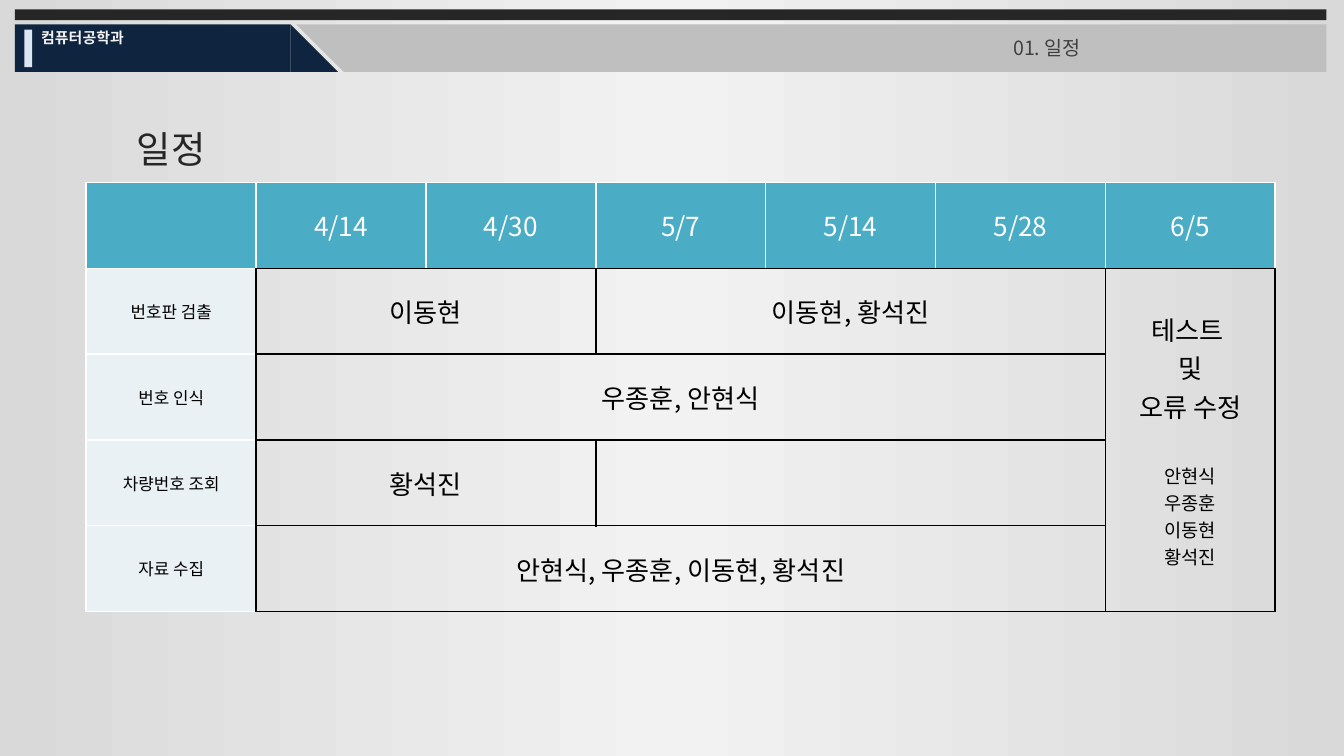
from copy import deepcopy

from lxml.etree import SubElement
from pptx import Presentation
from pptx.dml.color import RGBColor
from pptx.enum.shapes import MSO_SHAPE
from pptx.enum.text import MSO_ANCHOR, MSO_AUTO_SIZE, PP_ALIGN
from pptx.oxml import parse_xml
from pptx.oxml.ns import nsdecls, qn
from pptx.util import Cm, Pt

BLACK = RGBColor(0x00, 0x00, 0x00)
WHITE = RGBColor(0xFF, 0xFF, 0xFF)
CHARCOAL = RGBColor(0x26, 0x26, 0x26)
DARK_GRAY = RGBColor(0x40, 0x40, 0x40)
BAND_GRAY = RGBColor(0xBF, 0xBF, 0xBF)
EDGE_GRAY = RGBColor(0xD9, 0xD9, 0xD9)
PALE_GRAY = RGBColor(0xF2, 0xF2, 0xF2)
NAVY = RGBColor(0x0F, 0x24, 0x3E)
ICE = RGBColor(0xDC, 0xE6, 0xF2)
TEAL = RGBColor(0x4B, 0xAC, 0xC6)
LABEL_BLUE = RGBColor(0xE9, 0xF1, 0xF5)

KOREAN_FONT = "Noto Sans CJK KR"
DATES = ["4/14", "4/30", "5/7", "5/14", "5/28", "6/5"]
TASKS = ["번호판 검출", "번호 인식", "차량번호 조회", "자료 수집"]
# first row, first column, last row, last column, text
ASSIGNMENTS = [
    (1, 1, 1, 2, "이동현"),
    (1, 3, 1, 5, "이동현, 황석진"),
    (2, 1, 2, 5, "우종훈, 안현식"),
    (3, 1, 3, 2, "황석진"),
    (3, 3, 3, 5, ""),
    (4, 1, 4, 5, "안현식, 우종훈, 이동현, 황석진"),
    (1, 6, 4, 6, "테스트 \n및\n오류 수정"),
]
TESTERS = "안현식\n우종훈\n이동현\n황석진"


def write(frame, text, size=14, color=BLACK, font=KOREAN_FONT, bold=False,
          align=PP_ALIGN.CENTER, line_spacing=None, gap=None,
          outline_alpha=None, append=False):
    """Write one paragraph per line of text; gap goes before the first one."""
    for index, line in enumerate(text.split("\n")):
        para = frame.add_paragraph() if append or index else frame.paragraphs[0]
        para.alignment = align
        if line_spacing:
            para.line_spacing = line_spacing
        if gap and index == 0:
            para.space_before = Pt(gap)
        span = para.add_run()
        span.text = line
        span.font.size = Pt(size)
        span.font.bold = bold
        span.font.color.rgb = color
        span.font.name = font
        properties = span._r.get_or_add_rPr()
        SubElement(properties, qn("a:ea")).set("typeface", KOREAN_FONT)
        if outline_alpha:
            properties.insert(0, parse_xml(
                f'<a:ln {nsdecls("a")} w="9525"><a:solidFill>'
                f'<a:srgbClr val="{color}"><a:alpha val="{outline_alpha * 1000}"/>'
                '</a:srgbClr></a:solidFill></a:ln>'))


def set_borders(cell, left=BLACK, right=BLACK, top=BLACK, bottom=BLACK):
    properties = cell._tc.get_or_add_tcPr()
    sides = zip("LRTB", (left, right, top, bottom))
    for index, (side, color) in enumerate(sides):
        properties.insert(index, parse_xml(
            f'<a:ln{side} {nsdecls("a")} w="12700"><a:solidFill>'
            f'<a:srgbClr val="{color}"/></a:solidFill></a:ln{side}>'))


class SlideBuilder:
    def __init__(self, page):
        self.page = page

    def background(self, *colors):
        """Fill the page with an evenly spaced left-to-right gradient."""
        fill = self.page.background.fill
        fill.gradient()
        fill.gradient_angle = 0
        stop_list = self.page.element.xpath(".//a:gsLst")[0]
        stop_list.insert(1, deepcopy(stop_list[0]))
        for index, (stop, color) in enumerate(zip(fill.gradient_stops, colors)):
            stop.position = index / (len(colors) - 1)
            stop.color.rgb = color

    def shape(self, kind, left, top, width, height, color, rotation=0, group=None):
        shapes = (group or self.page).shapes
        box = shapes.add_shape(kind, Cm(left), Cm(top), Cm(width), Cm(height))
        box.shadow.inherit = False
        box.fill.solid()
        box.fill.fore_color.rgb = color
        box.line.fill.background()
        box.rotation = rotation

    def label(self, left, top, width, height, text, **style):
        box = self.page.shapes.add_textbox(Cm(left), Cm(top), Cm(width), Cm(height))
        box.text_frame.word_wrap = True
        box.text_frame.auto_size = MSO_AUTO_SIZE.SHAPE_TO_FIT_TEXT
        write(box.text_frame, text, align=PP_ALIGN.LEFT, **style)

    def title(self, left, top, width, height, text, **style):
        box = self.page.shapes.title
        box.left, box.top = Cm(left), Cm(top)
        box.width, box.height = Cm(width), Cm(height)
        box.text_frame.auto_size = MSO_AUTO_SIZE.NONE
        box.text_frame.vertical_anchor = MSO_ANCHOR.MIDDLE
        write(box.text_frame, text, **style)

    def table(self, left, top, column_width, row_height, columns, rows):
        """Add a plain table with black borders and no fill."""
        table = self.page.shapes.add_table(
            rows, columns, Cm(left), Cm(top),
            Cm(column_width * columns), Cm(row_height * rows)).table
        table.first_row = table.horz_banding = False
        for column in table.columns:
            column.width = Cm(column_width)
        for row in table.rows:
            row.height = Cm(row_height)
        for cell in table.iter_cells():
            cell.vertical_anchor = MSO_ANCHOR.MIDDLE
            cell.margin_left = cell.margin_right = Cm(0.18)
            cell.margin_top = cell.margin_bottom = Cm(0.1)
            cell.fill.background()
        return table

    def schedule(self, left, top, column_width, row_height):
        table = self.table(left, top, column_width, row_height,
                           len(DATES) + 1, len(TASKS) + 1)
        for column, date in enumerate(["", *DATES]):
            cell = table.cell(0, column)
            cell.fill.solid()
            cell.fill.fore_color.rgb = TEAL
            set_borders(cell, WHITE, WHITE, WHITE, BLACK if date else WHITE)
            if date:
                write(cell.text_frame, date, color=WHITE)
        for row, task in enumerate(TASKS, 1):
            cell = table.cell(row, 0)
            cell.fill.solid()
            cell.fill.fore_color.rgb = LABEL_BLUE
            set_borders(cell, WHITE, BLACK, WHITE, WHITE)
            write(cell.text_frame, task, size=9, font="Arial")
            for column in range(1, len(DATES) + 1):
                set_borders(table.cell(row, column))
        for first_row, first_column, last_row, last_column, text in ASSIGNMENTS:
            cell = table.cell(first_row, first_column)
            cell.merge(table.cell(last_row, last_column))
            if text:
                write(cell.text_frame, text)
        write(table.cell(1, len(DATES)).text_frame, TESTERS,
              size=10, gap=20, append=True)


def main():
    deck = Presentation()
    deck.slide_width, deck.slide_height = Cm(25.4), Cm(14.28)
    page = deck.slides.add_slide(deck.slide_layouts[5])
    builder = SlideBuilder(page)
    builder.background(EDGE_GRAY, PALE_GRAY, EDGE_GRAY)

    bar, wedge = MSO_SHAPE.RECTANGLE, MSO_SHAPE.RIGHT_TRIANGLE
    builder.shape(bar, 0.28, 0.18, 24.79, 0.2, CHARCOAL)
    builder.shape(bar, 0.28, 0.46, 5.21, 0.9, NAVY)
    builder.shape(wedge, 5.49, 0.46, 0.9, 0.9, NAVY)
    band = page.shapes.add_group_shape()
    builder.shape(bar, 6.5, 0.46, 18.57, 0.9, BAND_GRAY, group=band)
    builder.shape(wedge, 5.6, 0.46, 0.9, 0.9, BAND_GRAY, rotation=180, group=band)
    builder.label(0.53, 0.41, 3.81, 0.61, "컴퓨터공학과", size=8,
                  color=PALE_GRAY, bold=True, outline_alpha=10)
    builder.shape(bar, 0.46, 0.56, 0.15, 0.71, ICE)
    builder.label(18.9, 0.56, 6.15, 0.71, "01. 일정", size=10.5,
                  color=DARK_GRAY, outline_alpha=10)
    builder.title(-0.41, 1.9, 7.29, 1.37, "일정", size=20, color=CHARCOAL,
                  line_spacing=1.5, outline_alpha=26)
    builder.schedule(1.63, 3.45, 3.21, 1.62)
    deck.save("out.pptx")


if __name__ == "__main__":
    main()
